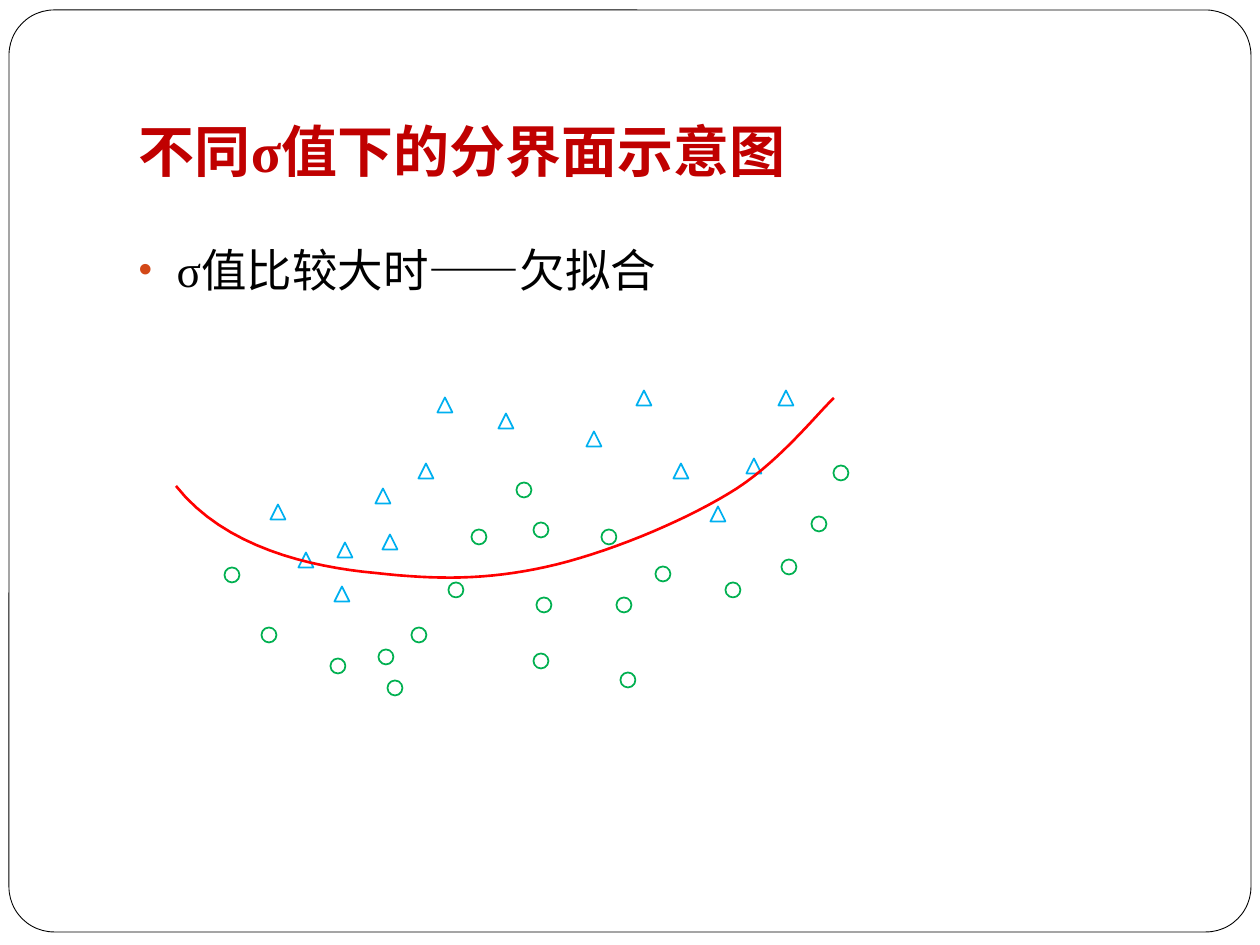
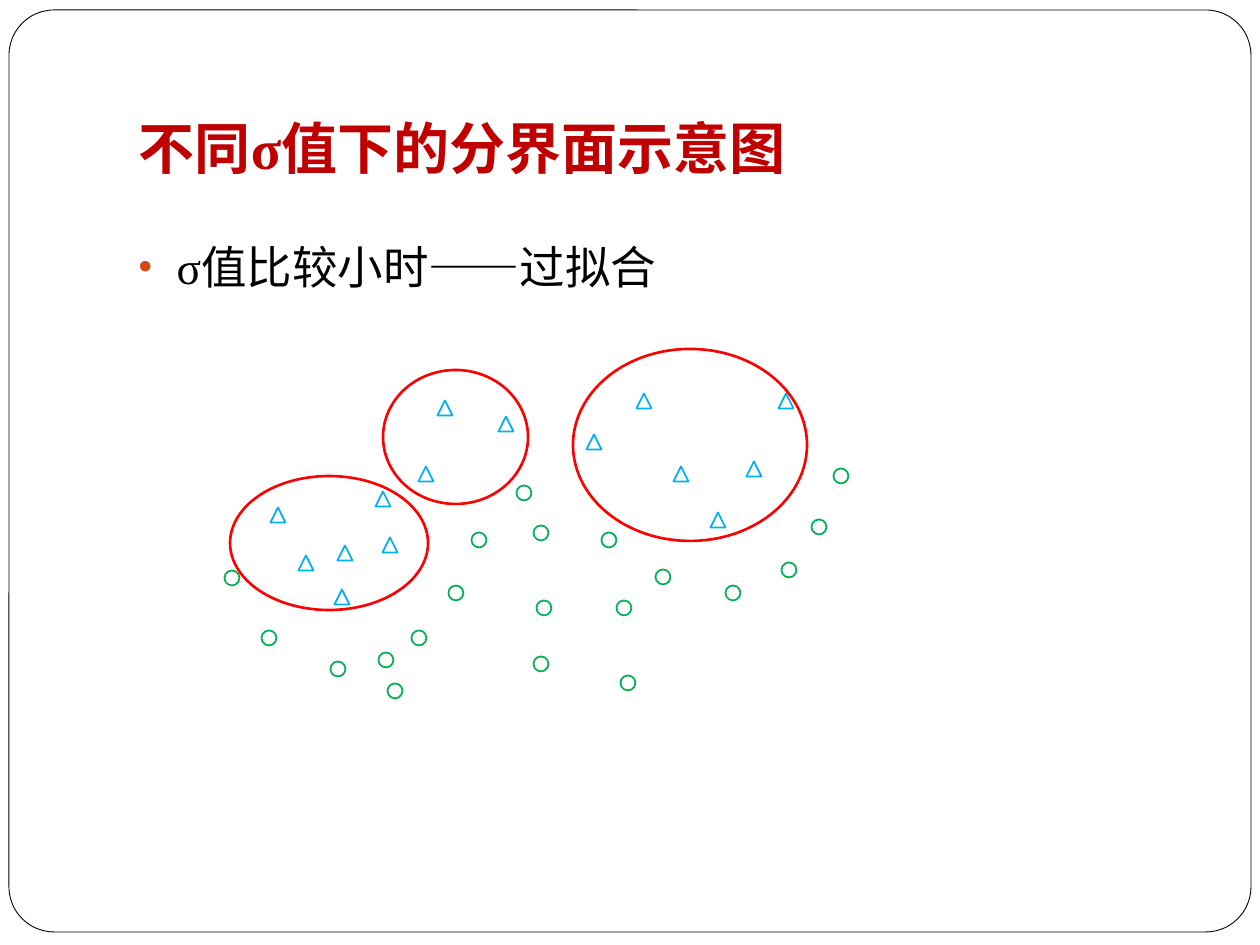
from lxml import etree
from pptx import Presentation
from pptx.dml.color import RGBColor
from pptx.enum.shapes import MSO_SHAPE
from pptx.enum.text import MSO_ANCHOR, MSO_AUTO_SIZE, PP_ALIGN
from pptx.oxml.ns import qn
from pptx.util import Emu, Pt

OVAL, TRIANGLE = MSO_SHAPE.OVAL, MSO_SHAPE.ISOSCELES_TRIANGLE
ROUND_RECT = MSO_SHAPE.ROUNDED_RECTANGLE
TOP, BOTTOM = MSO_ANCHOR.TOP, MSO_ANCHOR.BOTTOM
LEFT, NO_FIT = PP_ALIGN.LEFT, MSO_AUTO_SIZE.NONE

# Content
TITLE = "不同σ值下的分界面示意图"
UNDERFIT, OVERFIT = "σ值比较大时——欠拟合", "σ值比较小时——过拟合"

# Centres of the samples of each class
TRIANGLES = [
    (278, 512), (306, 560), (342, 594), (345, 550), (383, 496),
    (390, 542), (426, 471), (445, 405), (506, 421), (594, 439),
    (644, 398), (681, 471), (754, 466), (786, 398),
]
CIRCLES = [
    (232, 575), (269, 635), (338, 666), (386, 657), (395, 688),
    (419, 635), (456, 590), (479, 537), (524, 490), (541, 530),
    (541, 661), (544, 605), (609, 537), (624, 605), (628, 680),
    (663, 574), (733, 590), (789, 567), (819, 524), (841, 473),
]
# The one sample that sits apart from the common shift
LONE_TRIANGLE = {UNDERFIT: (718, 514), OVERFIT: (718, 520)}

# Boundaries: Bezier control points (each segment starts at the last end), ovals
CURVE = [
    (176, 486), (225, 548), (311, 567), (375, 573), (438, 580),
    (486, 580), (546, 567), (605, 554), (680, 523), (728, 494),
    (776, 466), (816, 415), (834, 398),
]
OVALS = [(230, 476, 198, 134), (573, 349, 234, 192), (383, 370, 145, 134)]

# Layout and style
PX = 914400 / 126
WIDTH, HEIGHT = 1260, 945
FRAME = (9, 10, 1242, 922)
TITLE_BOX = (126, 38, 1071, 158)
BODY_BOX = (126, 236, 1071, 576)
MARKER, INDENT, SHIFT, STEPS = 15, 38, 3, 16

WHITE, BLACK = RGBColor(255, 255, 255), RGBColor(0, 0, 0)
RED, DARK_RED = RGBColor(255, 0, 0), RGBColor(0xC0, 0, 0)
BLUE, GREEN = RGBColor(0, 0xB0, 0xF0), RGBColor(0, 0xB0, 0x50)
BULLET = RGBColor(0xD3, 0x48, 0x17)

TITLE_FONT = {"name": "Times New Roman", "size": Pt(32), "bold": True}
BODY_FONT = {"name": "Times New Roman", "size": Pt(26), "bold": False}


def emu(*lengths):
    return [Emu(round(n * PX)) for n in lengths]


def outline(sp, color, width, fill=None):
    sp.shadow.inherit = False
    if fill is None:
        sp.fill.background()
    else:
        sp.fill.solid()
        sp.fill.fore_color.rgb = fill
    sp.line.color.rgb = color
    sp.line.width = Pt(width)


def add_outlined(slide, kind, box, color, width, fill=None):
    sp = slide.shapes.add_shape(kind, *emu(*box))
    outline(sp, color, width, fill)
    return sp


def add_marker(slide, kind, x, y, color):
    box = (x - MARKER / 2, y - MARKER / 2, MARKER, MARKER)
    add_outlined(slide, kind, box, color, 1)


def add_bullet(p):
    pPr = p._p.get_or_add_pPr()
    pPr.set("marL", str(emu(INDENT)[0]))
    pPr.set("indent", str(emu(-INDENT)[0]))
    color = etree.SubElement(pPr, qn("a:buClr"))
    etree.SubElement(color, qn("a:srgbClr"), val=str(BULLET))
    etree.SubElement(pPr, qn("a:buSzPct"), val="85000")
    etree.SubElement(pPr, qn("a:buChar"), char="•")


def fill_placeholder(sp, text, box, dy, anchor, font, color, bullet=False):
    x, y, w, h = box
    sp.left, sp.top, sp.width, sp.height = emu(x, y + dy, w, h)
    tf = sp.text_frame
    tf.text = text
    frame_format = {
        "word_wrap": True, "auto_size": NO_FIT, "vertical_anchor": anchor,
        "margin_left": Pt(7.2), "margin_right": Pt(7.2), "margin_top": Pt(3.6),
        "margin_bottom": Pt(7.2 if anchor == BOTTOM else 3.6),
    }
    for name, value in frame_format.items():
        setattr(tf, name, value)
    p = tf.paragraphs[0]
    if bullet:
        add_bullet(p)
    p.alignment, p.space_before = LEFT, Pt(0)
    r = p.runs[0]
    for name, value in font.items():
        setattr(r.font, name, value)
    r.font.color.rgb = color


def add_curve(slide):
    points = []
    for i in range(0, len(CURVE) - 1, 3):
        a, b, c, d = CURVE[i:i + 4]
        for t in (n / STEPS for n in range(1, STEPS + 1)):
            u = 1 - t
            points.append(tuple(
                u**3 * a[k] + 3 * u * u * t * b[k] + 3 * u * t * t * c[k] + t**3 * d[k]
                for k in (0, 1)))
    pen = slide.shapes.build_freeform(*emu(*CURVE[0]), scale=1.0)
    pen.add_line_segments([emu(*pt) for pt in points], close=False)
    outline(pen.convert_to_shape(), RED, 1.5)


def add_ovals(slide):
    for box in OVALS:
        add_outlined(slide, OVAL, box, RED, 1.5)


def add_frame(slide):
    """Draw the rounded frame and move it to the shared layout."""
    sp = add_outlined(slide, ROUND_RECT, FRAME, BLACK, 0.5, WHITE)
    sp.adjustments[0] = 0.049
    sp._element.nvSpPr.cNvPr.set("id", "99")
    slide.slide_layout.shapes._spTree.insert(2, sp._element)


def add_sample_slide(prs, text, text_dy, marker_dy, draw_boundary):
    slide = prs.slides.add_slide(prs.slide_layouts[1])
    title, body = slide.placeholders
    fill_placeholder(title, TITLE, TITLE_BOX, text_dy, BOTTOM, TITLE_FONT, DARK_RED)
    fill_placeholder(body, text, BODY_BOX, text_dy, TOP, BODY_FONT, BLACK, bullet=True)
    for kind, color, centres in ((TRIANGLE, BLUE, TRIANGLES), (OVAL, GREEN, CIRCLES)):
        for x, y in centres:
            add_marker(slide, kind, x, y + marker_dy, color)
    add_marker(slide, TRIANGLE, *LONE_TRIANGLE[text], BLUE)
    draw_boundary(slide)
    return slide


def main():
    prs = Presentation()
    prs.slide_width, prs.slide_height = emu(WIDTH, HEIGHT)
    first = add_sample_slide(prs, UNDERFIT, 0, 0, add_curve)
    add_frame(first)
    add_sample_slide(prs, OVERFIT, -SHIFT, SHIFT, add_ovals)
    prs.save("out.pptx")


if __name__ == "__main__":
    main()
